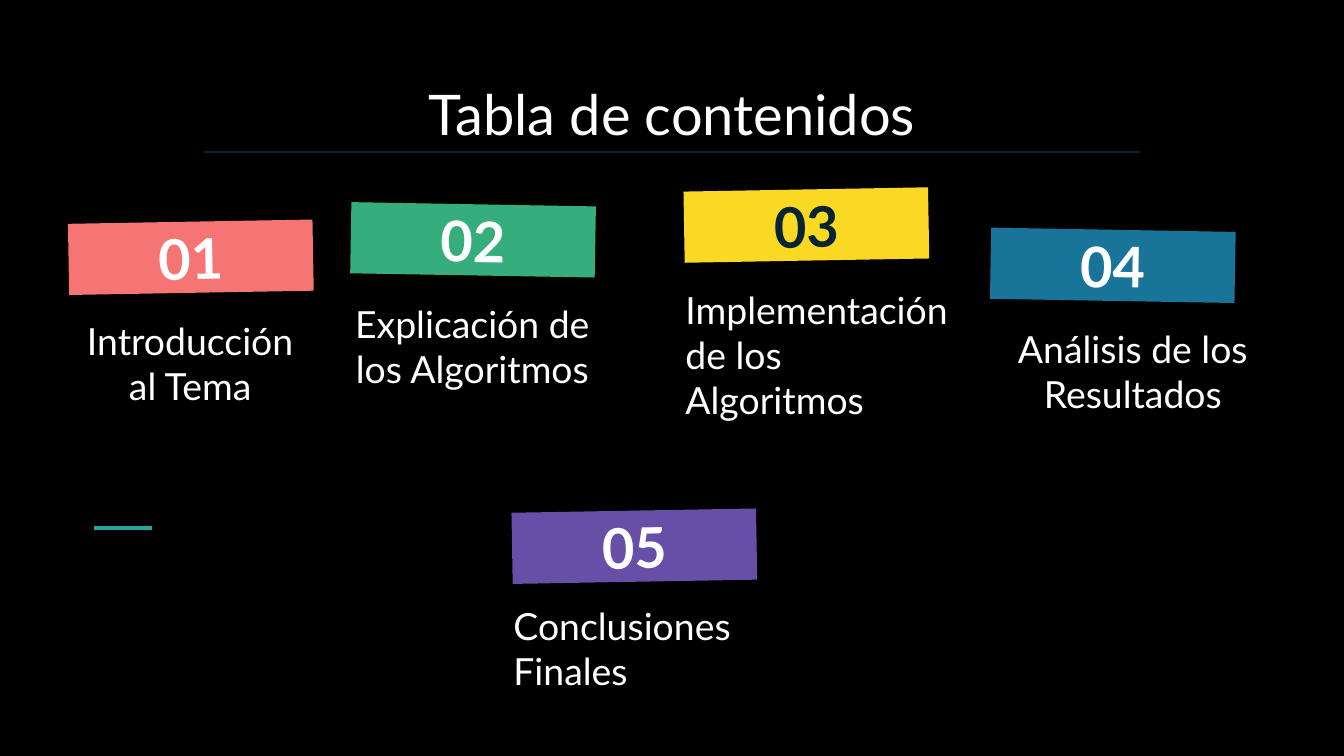
from dataclasses import dataclass

import pptx
import pptx.dml.color
import pptx.enum.shapes
import pptx.enum.text
import pptx.oxml.ns
import pptx.util
from lxml import etree
from pptx.util import Inches

RGBColor = pptx.dml.color.RGBColor
ALIGN = pptx.enum.text.PP_ALIGN
ANCHOR = pptx.enum.text.MSO_ANCHOR

BLACK = RGBColor(0x00, 0x00, 0x00)
WHITE = RGBColor(0xFF, 0xFF, 0xFF)
NAVY = RGBColor(0x06, 0x25, 0x31)
TEAL = RGBColor(0x26, 0xA6, 0x9A)
CORAL = RGBColor(0xF5, 0x74, 0x74)
GREEN = RGBColor(0x36, 0xAE, 0x7C)
YELLOW = RGBColor(0xF9, 0xD9, 0x23)
BLUE = RGBColor(0x18, 0x74, 0x98)
PURPLE = RGBColor(0x67, 0x4E, 0xA7)

FONT = "Lato"
SLIDE_WIDTH = 10
SLIDE_HEIGHT = SLIDE_WIDTH * 9 / 16
BADGE_WIDTH, BADGE_HEIGHT = 1.82, 0.53
CAPTION_INDENT, CAPTION_HEIGHT = 0.01, 0.67


@dataclass
class Section:
    """Left and top locate the badge; caption_drop runs from its top."""
    caption: str
    left: float
    top: float
    fill: RGBColor
    number_color: RGBColor = WHITE
    caption_width: float = 1.79
    caption_drop: float = 0.72
    align: ALIGN = ALIGN.CENTER


SECTIONS = [
    Section("Introducción al Tema", 0.51, 1.65, CORAL),
    Section("Explicación de los Algoritmos", 2.61, 1.52, GREEN),
    Section("Implementación de los Algoritmos", 5.09, 1.41, YELLOW, NAVY,
            caption_width=2.06, caption_drop=0.73, align=ALIGN.LEFT),
    Section("Análisis de los Resultados", 7.37, 1.71, BLUE, caption_width=2.1),
    Section("Conclusiones Finales", 3.81, 3.8, PURPLE,
            caption_drop=0.69, align=ALIGN.LEFT),
]


def write_text(shape, text, size, color=WHITE, align=ALIGN.CENTER,
               anchor=ANCHOR.TOP, bold=False):
    frame = shape.text_frame
    frame.text = text
    frame.word_wrap = True
    frame.auto_size = pptx.enum.text.MSO_AUTO_SIZE.NONE
    frame.vertical_anchor = anchor
    frame.margin_left = frame.margin_right = 0
    frame.margin_top = frame.margin_bottom = 0
    paragraph = frame.paragraphs[0]
    paragraph.alignment = align
    font = paragraph.runs[0].font
    font.name = FONT
    font.size = pptx.util.Pt(size)
    font.bold = bold
    font.color.rgb = color


def add_rule(slide, left, top, width, color, weight):
    rule = slide.shapes.add_connector(
        pptx.enum.shapes.MSO_CONNECTOR.STRAIGHT,
        Inches(left), Inches(top), Inches(left + width), Inches(top))
    rule.line.color.rgb = color
    rule.line.width = pptx.util.Pt(weight)
    properties = rule._element.spPr
    etree.SubElement(properties, pptx.oxml.ns.qn("a:effectLst"))


def add_heading(slide, left, top, width, height):
    title = slide.shapes.title
    title.left, title.top = Inches(left), Inches(top)
    title.width, title.height = Inches(width), Inches(height)
    write_text(title, "Tabla de contenidos", 30)
    add_rule(slide, left + 0.72, top + 0.54, width - 1.44, NAVY, 0.75)


def add_section(slide, number, section):
    """Place a tilted number badge with its caption below."""
    badge = slide.shapes.add_shape(
        pptx.enum.shapes.MSO_SHAPE.RECTANGLE,
        Inches(section.left), Inches(section.top),
        Inches(BADGE_WIDTH), Inches(BADGE_HEIGHT))
    badge.rotation = -1 if number % 2 else 1
    badge.shadow.inherit = False
    badge.fill.solid()
    badge.fill.fore_color.rgb = section.fill
    badge.line.fill.background()
    write_text(badge, f"{number:02}", 30, section.number_color,
               anchor=ANCHOR.MIDDLE, bold=True)

    caption = slide.shapes.add_textbox(
        Inches(section.left + CAPTION_INDENT),
        Inches(section.top + section.caption_drop),
        Inches(section.caption_width), Inches(CAPTION_HEIGHT))
    write_text(caption, section.caption, 20, align=section.align)


def main():
    presentation = pptx.Presentation()
    presentation.slide_width = Inches(SLIDE_WIDTH)
    presentation.slide_height = Inches(SLIDE_HEIGHT)
    slide = presentation.slides.add_slide(
        presentation.slide_layouts.get_by_name("Title Only"))
    slide.background.fill.solid()
    slide.background.fill.fore_color.rgb = BLACK

    add_rule(slide, 0.7, 3.93, 0.43, TEAL, 2.25)
    add_heading(slide, 0.8, 0.59, 8.4, 0.51)
    for number, section in enumerate(SECTIONS, start=1):
        add_section(slide, number, section)
    presentation.save("out.pptx")


if __name__ == "__main__":
    main()
